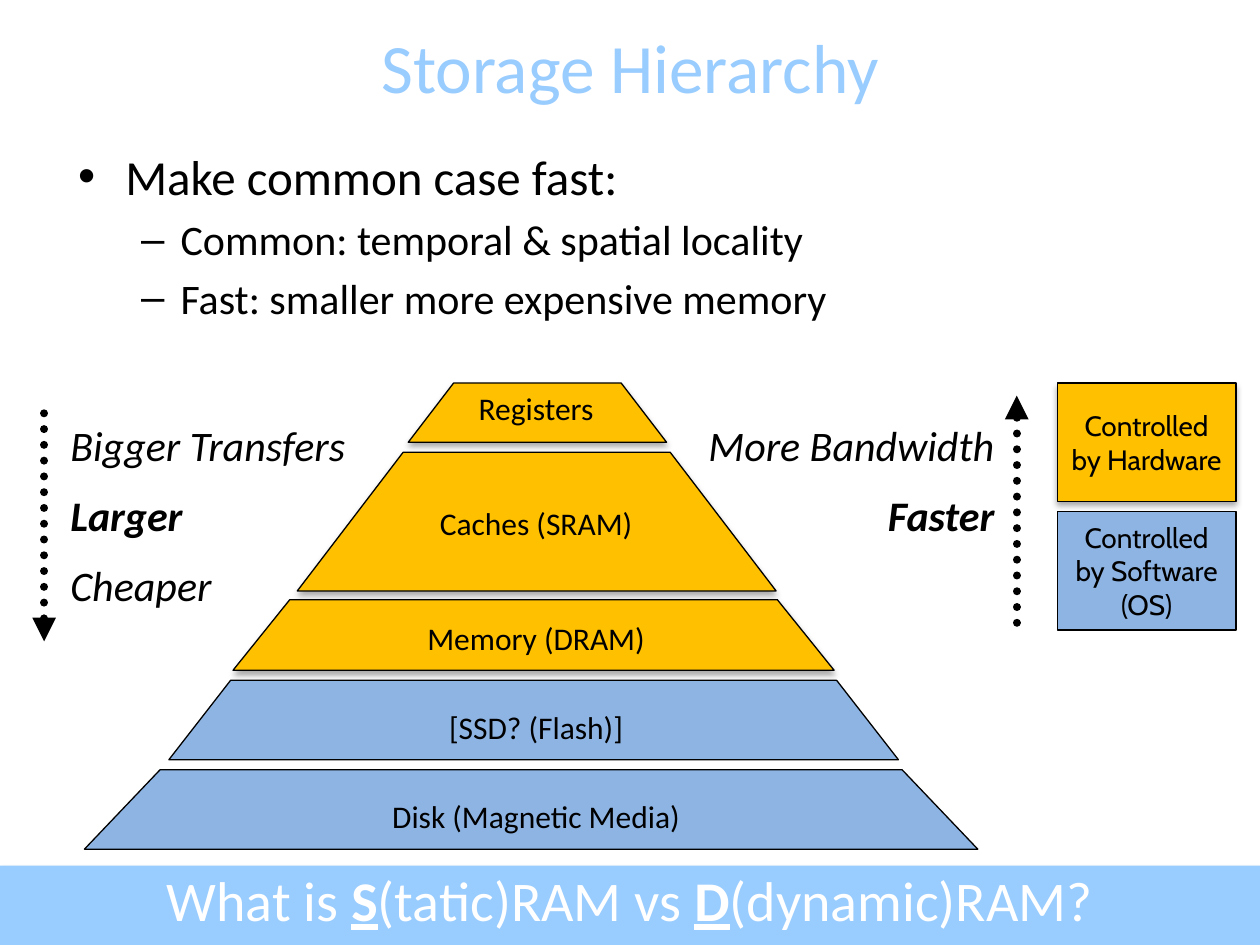
import dataclasses
import lxml.etree
import pptx
import pptx.dml.color
import pptx.enum.dml
import pptx.enum.shapes
import pptx.enum.text
import pptx.oxml.ns
import pptx.util

Inches, Pt = pptx.util.Inches, pptx.util.Pt
qn = pptx.oxml.ns.qn
ALIGN = pptx.enum.text.PP_ALIGN
ANCHOR = pptx.enum.text.MSO_ANCHOR


@dataclasses.dataclass(frozen=True)
class Theme:
    accent: str = "99CCFF"
    hardware: str = "FFC000"
    software: str = "8EB4E3"
    ink: str = "000000"
    paper: str = "FFFFFF"
    font: str = "Calibri"
    box_font: str = "Cabin"
    title: float = 39.6
    question: float = 32
    body: float = 28
    sub: float = 24
    tier: float = 18
    box: float = 16


def rgb(value):
    return pptx.dml.color.RGBColor.from_string(value)


def apply(target, values):
    for name, value in values.items():
        setattr(target, name, value)


class SlideBuilder:
    def __init__(self, slide, theme):
        self.slide, self.theme = slide, theme

    def fill_text(self, tf, paragraphs, size, color=None, font=None, anchor=ANCHOR.TOP):
        apply(tf, {"word_wrap": True, "vertical_anchor": anchor,
                   "auto_size": pptx.enum.text.MSO_AUTO_SIZE.NONE})
        for i, (runs, p_fmt) in enumerate(paragraphs):
            p = tf.paragraphs[0] if i == 0 else tf.add_paragraph()
            apply(p, p_fmt)
            for text, r_fmt in runs:
                r = p.add_run()
                r.text = text
                apply(r.font, {"name": font or self.theme.font, "size": Pt(size), **r_fmt})
                r.font.color.rgb = rgb(color or self.theme.ink)

    def placeholder(self, sp, at, paragraphs, size, **style):
        apply(sp, dict(zip(("left", "top", "width", "height"), map(Inches, at))))
        self.fill_text(sp.text_frame, paragraphs, size, **style)

    def text(self, at, paragraphs, size, **style):
        sp = self.slide.shapes.add_textbox(*map(Inches, at))
        self.fill_text(sp.text_frame, paragraphs, size, **style)

    def paint(self, sp, fill, outlined=True, shadow=None):
        sp.fill.solid()
        sp.fill.fore_color.rgb = rgb(fill)
        if outlined:
            sp.line.color.rgb = rgb(self.theme.ink)
            sp.line.width = Pt(0.75)
        else:
            sp.line.fill.background()
        sp.shadow.inherit = False
        if shadow:
            blur, dist, alpha = shadow
            effects = sp.element.spPr.find(qn("a:effectLst"))
            outer = lxml.etree.SubElement(
                effects, qn("a:outerShdw"), blurRad=str(Pt(blur)), dist=str(Pt(dist)),
                dir="5400000", algn="t", rotWithShape="0")
            color = lxml.etree.SubElement(outer, qn("a:srgbClr"), val=self.theme.ink)
            lxml.etree.SubElement(color, qn("a:alpha"), val=str(alpha * 1000))

    def rect(self, at, fill, **look):
        sp = self.slide.shapes.add_shape(
            pptx.enum.shapes.MSO_SHAPE.RECTANGLE, *map(Inches, at))
        self.paint(sp, fill, **look)
        return sp

    def tier(self, left, top, width, height, inset, fill, **look):
        right, bottom = left + width, top + height
        corners = [(left, bottom), (left + inset, top), (right - inset, top), (right, bottom)]
        points = [(Inches(x), Inches(y)) for x, y in corners]
        fb = self.slide.shapes.build_freeform(*points[0])
        fb.add_line_segments(points[1:], close=True)
        self.paint(fb.convert_to_shape(), fill, **look)

    def arrow(self, x, top, bottom, end):
        c = self.slide.shapes.add_connector(
            pptx.enum.shapes.MSO_CONNECTOR.STRAIGHT,
            Inches(x), Inches(top), Inches(x), Inches(bottom))
        c.line.color.rgb = rgb(self.theme.ink)
        apply(c.line, {"width": Pt(4.5), "dash_style": pptx.enum.dml.MSO_LINE.ROUND_DOT})
        ln = c.element.spPr.find(qn("a:ln"))
        ln.set("cap", "rnd")
        lxml.etree.SubElement(ln, qn(end), type="triangle")
        lxml.etree.SubElement(c.element.spPr, qn("a:effectLst"))


theme = Theme()
prs = pptx.Presentation()
prs.slide_width, prs.slide_height = Inches(10), Inches(7.5)
s = prs.slides.add_slide(prs.slide_layouts[1])
b = SlideBuilder(s, theme)
center = {"alignment": ALIGN.CENTER}
control_shadow = (3.5, 2.2, 32)

banner = b.rect((0, 6.87, 10, 0.63), theme.accent, outlined=False, shadow=(3.1, 1.8, 35))
s.shapes.element.insert(2, banner.element)

b.placeholder(s.shapes.title, (0, 0.21, 10, 0.63), [([("Storage Hierarchy", {})], center)],
              theme.title, color=theme.accent, anchor=ANCHOR.MIDDLE)
small = {"size": Pt(theme.sub)}
b.placeholder(s.placeholders[1], (0.52, 1.11, 9, 5.56), [
    ([("Make common case fast:", {})], {}),
    ([("Common: temporal & spatial locality", small)], {"level": 1}),
    ([("Fast: smaller more expensive memory", small)], {"level": 1}),
], theme.body)

controls = [
    ("Controlled by Hardware", theme.hardware, control_shadow),
    ("Controlled by Software (OS)", theme.software, None),
]
for i, (label, fill, shadow) in enumerate(controls):
    sp = b.rect((8.39, 3.04 + 1.02 * i, 1.42, 0.94), fill, shadow=shadow)
    b.fill_text(sp.text_frame, [([(label, {})], center)], theme.box,
                font=theme.box_font, anchor=ANCHOR.MIDDLE)

trends = [
    ((0.35, 3.28, 5.09, "a:tailEnd"), (0.46, 3.28, 2.73, 1.72), ALIGN.LEFT,
     ["Bigger Transfers", "Larger", "Cheaper"]),
    ((8.07, 3.14, 5.04, "a:headEnd"), (5.24, 3.28, 2.75, 1.11), ALIGN.RIGHT,
     ["More Bandwidth", "Faster"]),
]
for arrow, at, align, words in trends:
    b.arrow(*arrow)
    b.text(at, [
        ([(word, {"italic": True, "bold": i == 1})],
         {"alignment": align, "space_before": Pt(11.3 if i else 0)})
        for i, word in enumerate(words)
    ], theme.sub)

tiers = [
    ("Registers", 0, (3.24, 3.04, 2.05, 0.47, 0.36), True),
    ("Caches (SRAM)", 44, (2.36, 3.59, 3.8, 1.1, 0.84), True),
    ("Memory (DRAM)", 44, (1.85, 4.76, 4.77, 0.56, 0.45), True),
    ("[SSD? (Flash)]", 29.3, (1.34, 5.4, 5.79, 0.63, 0.49), False),
    ("Disk (Magnetic Media)", 29.3, (0.67, 6.11, 7.09, 0.63, 0.6), False),
]
for label, gap, geometry, in_hardware in tiers:
    b.tier(*geometry, theme.hardware if in_hardware else theme.software,
           shadow=control_shadow if in_hardware else None)
b.text((2.72, 3.04, 3.07, 3.64), [
    ([(label, {})], {**center, "space_before": Pt(gap)}) for label, gap, *rest in tiers
], theme.tier)

key = {"bold": True, "underline": True}
b.text((0, 6.82, 10, 0.63), [([
    ("What is ", {}), ("S", key), ("(tatic)RAM vs ", {}), ("D", key), ("(dynamic)RAM?", {}),
], center)], theme.question, color=theme.paper)

prs.save("out.pptx")
